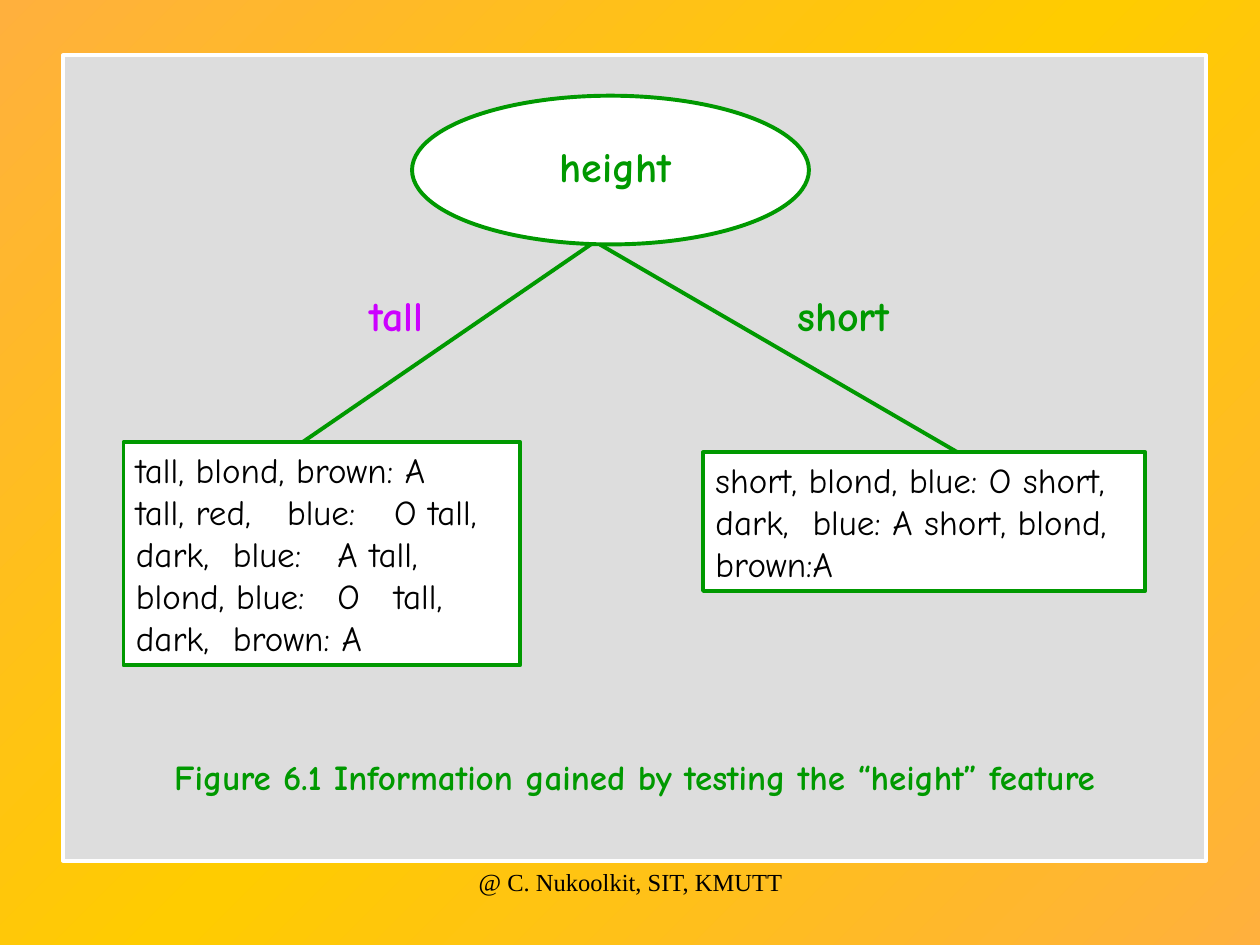
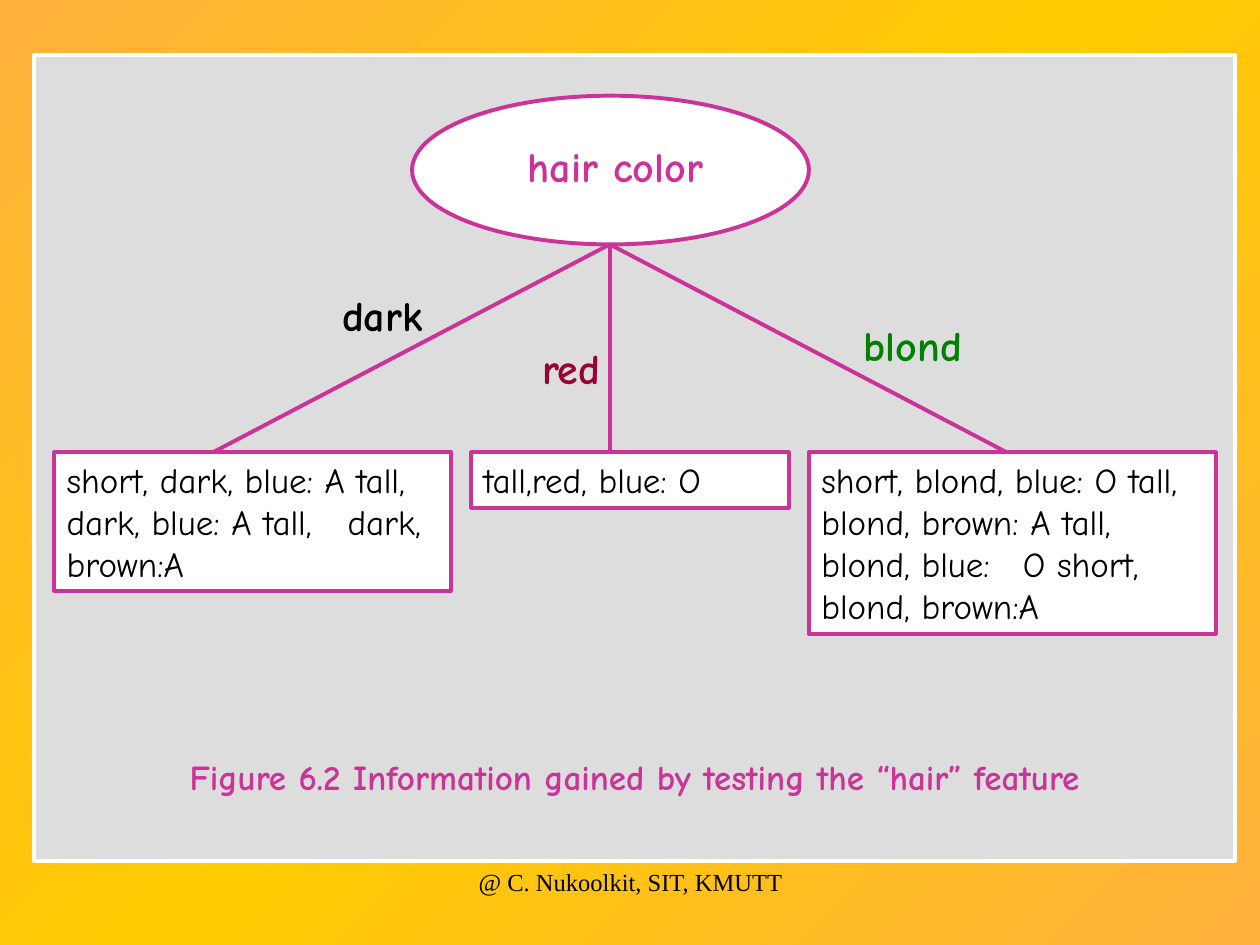
from copy import deepcopy
from dataclasses import dataclass

from lxml.etree import SubElement
from pptx import Presentation
from pptx.dml.color import RGBColor
from pptx.enum.shapes import MSO_CONNECTOR, MSO_SHAPE
from pptx.enum.text import MSO_ANCHOR, PP_ALIGN
from pptx.oxml.ns import qn
from pptx.util import Inches, Pt


@dataclass(frozen=True)
class Theme:
    edge: str = "FFB03D"
    glow: str = "FFCC00"
    panel: str = "DDDDDD"
    white: str = "FFFFFF"
    ink: str = "000000"
    font: str = "Comic Neue"
    footer_font: str = "Times New Roman"
    label_size: int = 24
    body_size: int = 20
    footer_size: int = 14
    line_width: float = 2.25


T = Theme()
BRANCH_TOP = 1.94  # lower edge of the root ellipse
FOOTER = "@ C. Nukoolkit, SIT, KMUTT"

# Boxes: left, top, width, height, tab stops, text
# Branches: start x, end x, end y; labels: left, top, text, colour
trees = [
    dict(
        color="009900", panel=(0.5, 9.07), root="height",
        caption="Figure 6.1 Information gained by testing the “height” feature",
        boxes=[
            (0.98, 3.51, 3.15, 1.77, (0.77, 1.2, 1.6, 2.05),
             "tall, blond, brown: A\ntall, red,\tblue:\tO tall, dark,\tblue:\tA tall, "
             "blond, blue:\tO\ttall, dark,\tbrown: A"),
            (5.58, 3.59, 3.51, 1.1, (0.77,),
             "short, blond, blue: O short, dark,\tblue: A short, blond, brown:A"),
        ],
        branches=[(4.69, 2.4, 3.51), (4.76, 7.6, 3.59)],
        labels=[(1.61, 2.25, "tall", "CC00FF"), (5.16, 2.25, "short", "009900")],
    ),
    dict(
        color="CC3399", panel=(0.27, 9.53), root="hair color",
        caption="Figure 6.2 Information gained by testing the “hair” feature",
        boxes=[
            (0.43, 3.59, 3.15, 1.1, (2.23,),
             "short, dark, blue: A tall, dark, blue: A tall,\tdark, brown:A"),
            (3.74, 3.59, 2.52, 0.44, (), "tall,red, blue: O"),
            (6.42, 3.59, 3.23, 1.44, (1.6,),
             "short, blond, blue: O tall, blond, brown: A tall, "
             "blond, blue:\tO short, blond, brown:A"),
        ],
        branches=[(4.84, x, 3.59) for x in (4.84, 7.99, 1.69)],
        labels=[(1.5, 2.25, "dark", "000000"), (3, 2.67, "red", "990033"),
                (5.71, 2.49, "blond", "008000")],
    ),
]


def add_box(s, kind, at, fill, line):
    sp = s.shapes.add_shape(kind, *map(Inches, at))
    sp.shadow.inherit = False
    sp.fill.solid()
    sp.fill.fore_color.rgb = RGBColor.from_string(fill)
    sp.line.color.rgb = RGBColor.from_string(line)
    sp.line.width = Pt(T.line_width)
    return sp


def write(sp, text, size, color, bold=True, font=T.font, align=PP_ALIGN.CENTER, stops=()):
    tf = sp.text_frame
    tf.word_wrap = True
    tf.vertical_anchor = MSO_ANCHOR.TOP
    p = tf.paragraphs[0]
    p.alignment = align
    if stops:
        tabs = SubElement(p._p.get_or_add_pPr(), qn("a:tabLst"))
        for stop in stops:
            SubElement(tabs, qn("a:tab"), pos=str(Inches(stop)), algn="l")
    for i, line in enumerate(text.split("\n")):
        if i:
            p.add_line_break()
        r = p.add_run()
        r.text = line
        r.font.name = font
        r.font.size = Pt(size)
        r.font.bold = bold
        r.font.color.rgb = RGBColor.from_string(color)


prs = Presentation()
prs.slide_width, prs.slide_height = Inches(10), Inches(7.5)

# Shared diagonal gradient background
master = prs.slide_master
fill = master.background.fill
fill.gradient()
fill.gradient_angle = 315
stop_list = next(master._element.iter(qn("a:gsLst")))
stop_list.append(deepcopy(stop_list[0]))
for stop, color, position in zip(fill.gradient_stops, (T.edge, T.glow, T.edge), (0, 0.5, 1)):
    stop.color.rgb = RGBColor.from_string(color)
    stop.position = position

for tree in trees:
    s = prs.slides.add_slide(prs.slide_layouts[6])
    color = tree["color"]

    # Panel and root node
    left, width = tree["panel"]
    add_box(s, MSO_SHAPE.RECTANGLE, (left, 0.44, width, 6.39), T.panel, T.white)
    add_box(s, MSO_SHAPE.OVAL, (3.27, 0.76, 3.15, 1.18), T.white, color)

    # Leaf boxes
    for *at, stops, text in tree["boxes"]:
        sp = add_box(s, MSO_SHAPE.RECTANGLE, at, T.white, color)
        write(sp, text, T.body_size, T.ink, bold=False, align=PP_ALIGN.LEFT, stops=stops)

    # Branches
    for x1, x2, y2 in tree["branches"]:
        ends = map(Inches, (x1, BRANCH_TOP, x2, y2))
        cx = s.shapes.add_connector(MSO_CONNECTOR.STRAIGHT, *ends)
        cx.line.color.rgb = RGBColor.from_string(color)
        cx.line.width = Pt(T.line_width)
        SubElement(cx._element.spPr, qn("a:effectLst"))

    # Root and branch labels
    for x, y, text, label_color in [(3.35, 1.07, tree["root"], color), *tree["labels"]]:
        sp = s.shapes.add_textbox(*map(Inches, (x, y, 3.07, 0.5)))
        write(sp, text, T.label_size, label_color)

    # Caption and footer
    sp = s.shapes.add_textbox(*map(Inches, (0.51, 5.95, 9.06, 0.44)))
    write(sp, tree["caption"], T.body_size, color)
    sp = s.shapes.add_textbox(*map(Inches, (3.42, 6.83, 3.17, 0.5)))
    write(sp, FOOTER, T.footer_size, T.ink, bold=False, font=T.footer_font)

prs.save("out.pptx")
